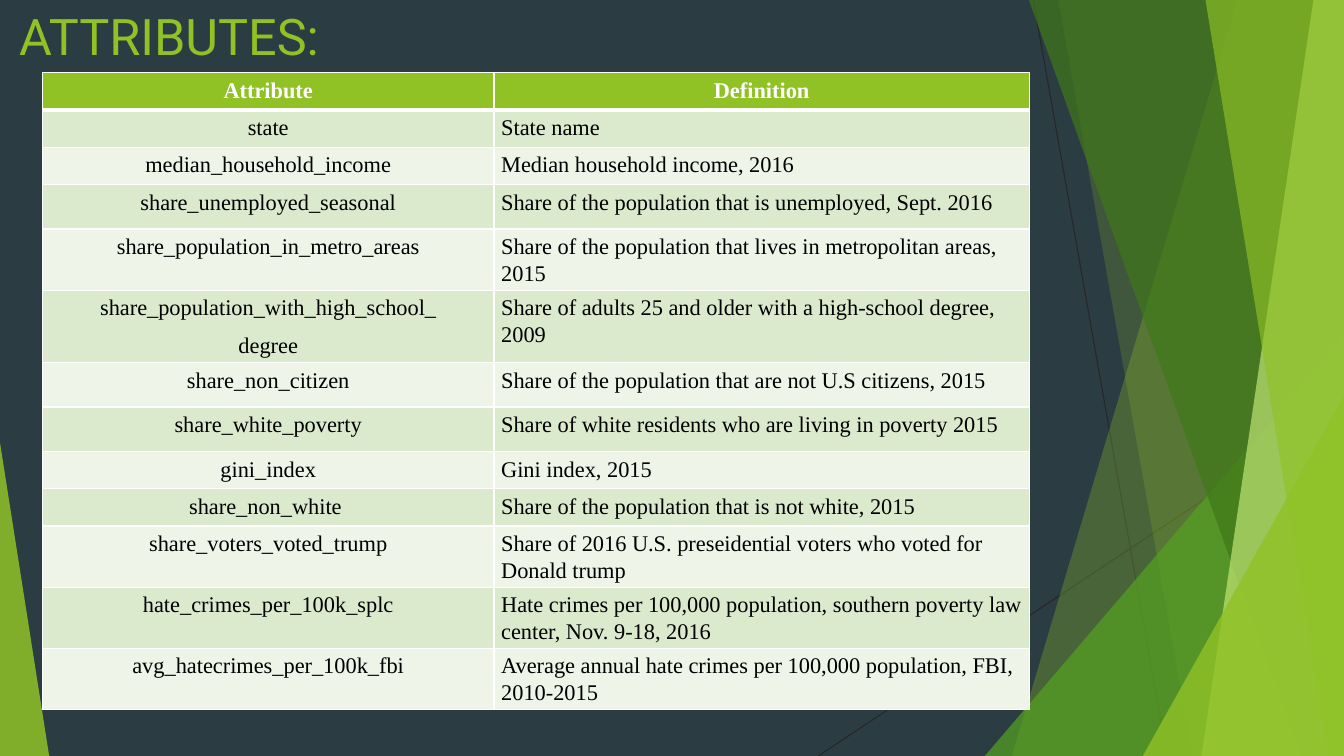
from dataclasses import dataclass

from lxml import etree
from pptx import Presentation
from pptx.dml.color import RGBColor
from pptx.enum.shapes import MSO_CONNECTOR, MSO_SHAPE
from pptx.enum.text import MSO_ANCHOR, MSO_AUTO_SIZE, PP_ALIGN
from pptx.oxml.ns import qn
from pptx.util import Cm, Pt

LEFT, CENTER = PP_ALIGN.LEFT, PP_ALIGN.CENTER
TOP = MSO_ANCHOR.TOP
NO_AUTOFIT = MSO_AUTO_SIZE.NONE
STRAIGHT = MSO_CONNECTOR.STRAIGHT
TRIANGLE = MSO_SHAPE.ISOSCELES_TRIANGLE

WIDTH, HEIGHT = 33.87, 19.05  # slide size in cm


@dataclass(frozen=True)
class Theme:
    background: str = "2C3C43"
    hairline: str = "262626"
    lime: str = "90C226"
    pale_lime: str = "C0E474"
    green: str = "54A021"
    dark_green: str = "3F7819"
    bands: tuple = ("DBE9CD", "EEF4E8")
    ink: str = "000000"
    white: str = "FFFFFF"
    title_font: str = "Roboto"
    table_font: str = "Times New Roman"
    title_size: int = 36
    table_size: int = 16


def rgb(color):
    return RGBColor.from_string(color)


def write(tf, text, *, font, size, color, bold=False, align=LEFT,
          spacing=None, after=None):
    """Fill a text frame, one paragraph for each line of text."""
    for i, line in enumerate(text.split("\n")):
        p = tf.add_paragraph() if i else tf.paragraphs[0]
        p.alignment = align
        if spacing is not None:
            p.line_spacing = spacing
        if after is not None:
            p.space_after = Pt(after)
        r = p.add_run()
        r.text = line
        r.font.name, r.font.size, r.font.bold = font, Pt(size), bold
        r.font.color.rgb = rgb(color)


class SlideBuilder:
    def __init__(self, slide, theme):
        self.s, self.theme = slide, theme
        fill = slide.background.fill
        fill.solid()
        fill.fore_color.rgb = rgb(theme.background)

    def title(self, text, x, y, w, h):
        sp, th = self.s.shapes.title, self.theme
        sp.left, sp.top, sp.width, sp.height = Cm(x), Cm(y), Cm(w), Cm(h)
        tf = sp.text_frame
        tf.vertical_anchor, tf.auto_size, tf.word_wrap = TOP, NO_AUTOFIT, True
        write(tf, text, font=th.title_font, size=th.title_size, color=th.lime)
        self.s.shapes._spTree.append(sp._element)  # bring in front of the facets

    def hairline(self, x1, y1, x2, y2):
        line = self.s.shapes.add_connector(STRAIGHT, Cm(x1), Cm(y1), Cm(x2), Cm(y2))
        line.line.color.rgb = rgb(self.theme.hairline)
        line.line.width = Pt(0.75)
        etree.SubElement(line._element.spPr, qn("a:effectLst"))

    def tint(self, sp, color, opacity):
        sp.shadow.inherit = False
        sp.line.fill.background()
        sp.fill.solid()
        sp.fill.fore_color.rgb = rgb(color)
        clr = sp._element.spPr.find(".//" + qn("a:srgbClr"))
        etree.SubElement(clr, qn("a:alpha")).set("val", str(opacity * 1000))

    def wedge(self, top_x, bottom_x, color, opacity):
        """Full-height facet from a slanted left edge to the slide's right edge."""
        fb = self.s.shapes.build_freeform(Cm(top_x), 0)
        fb.add_line_segments([(Cm(WIDTH), 0), (Cm(WIDTH), Cm(HEIGHT)),
                              (Cm(bottom_x), Cm(HEIGHT))], close=True)
        self.tint(fb.convert_to_shape(), color, opacity)

    def corner(self, x, y, w, apex, color, opacity):
        """Triangle that stands on the slide's bottom edge."""
        sp = self.s.shapes.add_shape(TRIANGLE, Cm(x), Cm(y), Cm(w), Cm(HEIGHT - y))
        sp.adjustments[0] = apex
        self.tint(sp, color, opacity)

    def borders(self, cell, top, bottom):
        tcPr = cell._tc.get_or_add_tcPr()
        widths = {"a:lnL": 1, "a:lnR": 1, "a:lnT": top, "a:lnB": bottom}
        for i, (tag, width) in enumerate(widths.items()):
            ln = etree.Element(qn(tag), w=str(Pt(width)))
            solid = etree.SubElement(ln, qn("a:solidFill"))
            etree.SubElement(solid, qn("a:srgbClr")).set("val", self.theme.white)
            tcPr.insert(i, ln)

    def table(self, rows, x, y, widths, heights):
        th = self.theme
        tbl = self.s.shapes.add_table(len(rows), len(widths), Cm(x), Cm(y),
                                      Cm(sum(widths)), Cm(sum(heights))).table
        for col, w in zip(tbl.columns, widths):
            col.width = Cm(w)
        for i, (row, h) in enumerate(zip(rows, heights)):
            tbl.rows[i].height = Cm(h)
            header = i == 0
            for j, text in enumerate(row):
                cell = tbl.cell(i, j)
                cell.margin_left = cell.margin_right = Cm(0.18)
                cell.margin_top = cell.margin_bottom = Cm(0.1)
                cell.fill.solid()
                cell.fill.fore_color.rgb = rgb(th.lime if header else th.bands[(i - 1) % 2])
                self.borders(cell, top=3 if i == 1 else 1, bottom=3 if header else 1)
                write(cell.text_frame, text, font=th.table_font, size=th.table_size,
                      color=th.white if header else th.ink, bold=header,
                      align=CENTER if header or j == 0 else LEFT,
                      spacing=1.07, after=8)


ATTRIBUTES = [
    ("Attribute", "Definition"),
    ("state", "State name"),
    ("median_household_income", "Median household income, 2016"),
    ("share_unemployed_seasonal", "Share of the population that is unemployed, Sept. 2016"),
    ("share_population_in_metro_areas",
     "Share of the population that lives in metropolitan areas, 2015"),
    ("share_population_with_high_school_\ndegree",
     "Share of adults 25 and older with a high-school degree, 2009"),
    ("share_non_citizen", "Share of the population that are not U.S citizens, 2015"),
    ("share_white_poverty", "Share of white residents who are living in poverty 2015"),
    ("gini_index", "Gini index, 2015"),
    ("share_non_white ", "Share of the population that is not white, 2015"),
    ("share_voters_voted_trump",
     "Share of 2016 U.S. preseidential voters who voted for Donald trump"),
    ("hate_crimes_per_100k_splc",
     "Hate crimes per 100,000 population, southern poverty law center, Nov. 9-18, 2016"),
    ("avg_hatecrimes_per_100k_fbi",
     "Average annual hate crimes per 100,000 population, FBI, 2010-2015"),
]
LOW, MID, TALL = 0.94, 1.12, 1.47
ROW_HEIGHTS = [LOW] * 3 + [MID] * 2 + [TALL] + [MID] * 2 + [LOW] * 2 + [MID] * 3


def main():
    prs = Presentation()
    prs.slide_width, prs.slide_height = Cm(WIDTH), Cm(HEIGHT)
    th = Theme()
    b = SlideBuilder(prs.slides.add_slide(prs.slide_layouts[5]), th)

    # Faceted backdrop, back to front
    b.hairline(26.04, 0, 29.41, HEIGHT)
    b.hairline(WIDTH, 10.24, 20.62, HEIGHT)
    b.wedge(31.19, 25.5, th.lime, 30)
    b.wedge(26.67, 30.05, th.lime, 20)
    b.corner(24.82, 8.46, 9.05, 1, th.green, 72)
    b.wedge(25.93, 32.79, th.dark_green, 70)
    b.wedge(33.1, 30.28, th.pale_lime, 70)
    b.wedge(30.38, 33.48, th.lime, 65)
    b.corner(28.8, 9.98, 5.07, 1, th.lime, 80)
    b.corner(0, 11.15, 1.24, 0, th.lime, 85)

    # Title and attribute table
    b.title("ATTRIBUTES:", 0.23, 0, 23.88, 3.66)
    b.table(ATTRIBUTES, 1.07, 1.83, (11.38, 13.49), ROW_HEIGHTS)

    prs.save("out.pptx")


if __name__ == "__main__":
    main()
